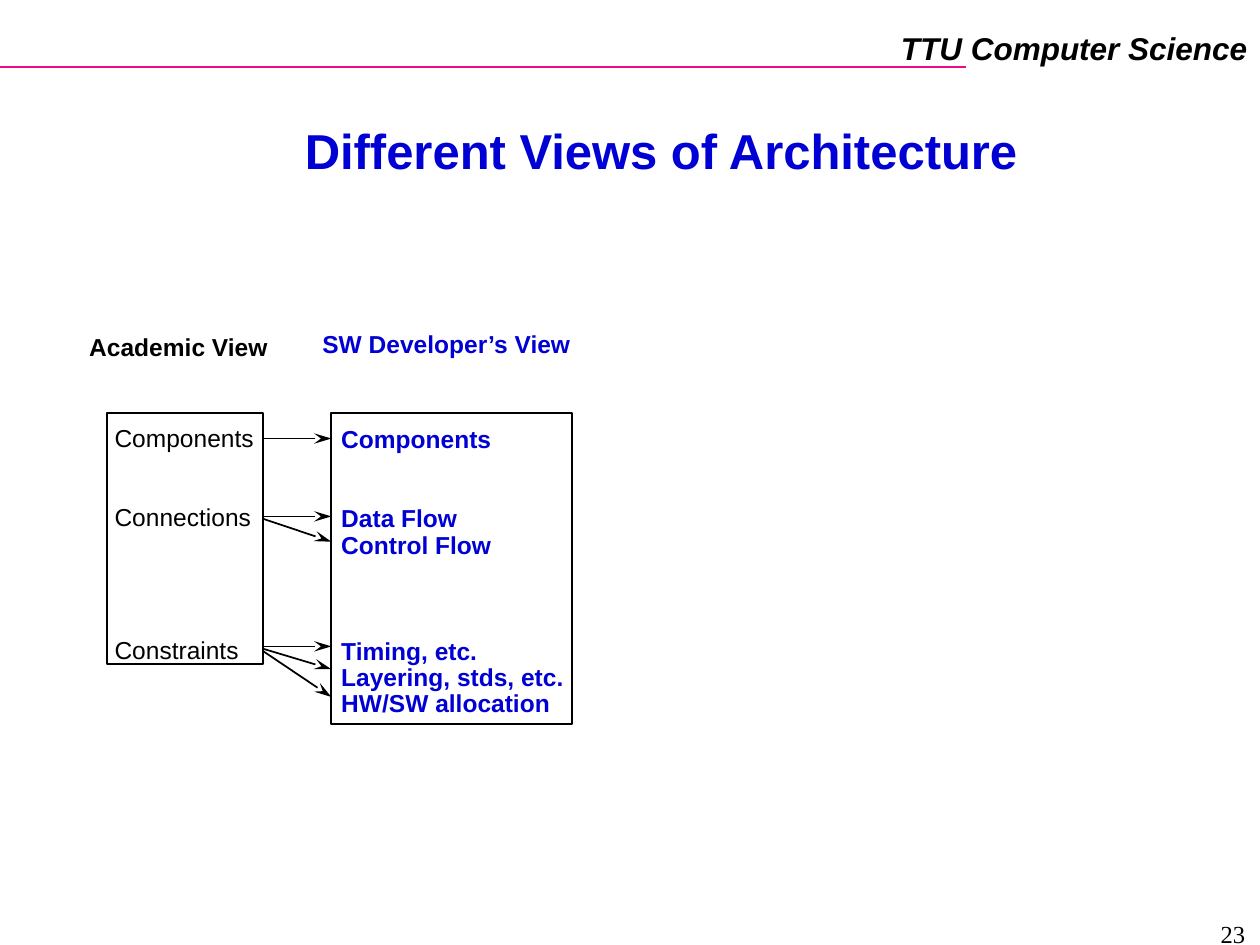
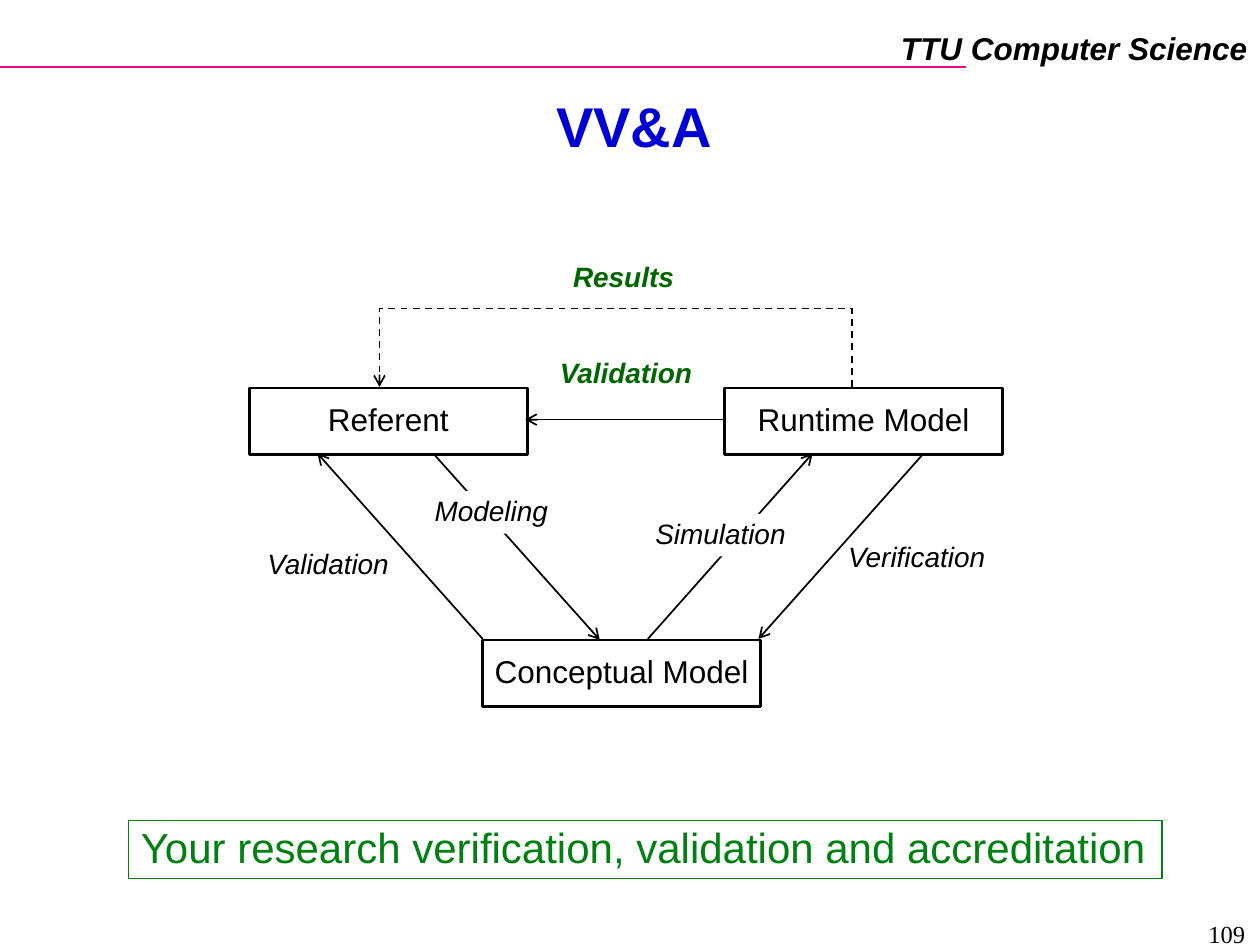
from dataclasses import dataclass

from lxml.etree import SubElement
from pptx import Presentation
from pptx.dml.color import RGBColor
from pptx.enum.dml import MSO_LINE
from pptx.enum.shapes import MSO_CONNECTOR, MSO_SHAPE
from pptx.enum.text import MSO_ANCHOR, PP_ALIGN
from pptx.oxml.ns import qn
from pptx.util import Cm, Pt

BLACK = RGBColor(0x00, 0x00, 0x00)
WHITE = RGBColor(0xFF, 0xFF, 0xFF)
BLUE = RGBColor(0x00, 0x00, 0xD4)
PINK = RGBColor(0xF2, 0x08, 0x84)
DARK_GREEN = RGBColor(0x00, 0x66, 0x00)
GREEN = RGBColor(0x00, 0x80, 0x11)
LIST_PITCH = 15.1
TITLE_ONLY = 5


@dataclass
class Box:
    """A rectangle in centimetres."""
    left: float
    top: float
    width: float = 0
    height: float = 0

    def inner(self, left, top, width=0, height=0):
        """Return a box placed relative to this one."""
        return Box(self.left + left, self.top + top, width, height)

    def lengths(self):
        """Return left, top, width and height as lengths."""
        return [Cm(value) for value in (self.left, self.top, self.width, self.height)]


@dataclass
class Style:
    """The look of a run of text."""
    size: float
    color: RGBColor = BLACK
    bold: bool = False
    italic: bool = False
    name: str = "Arial"


LABEL = Style(16, italic=True)
GREEN_LABEL = Style(16, DARK_GREEN, bold=True, italic=True)


def write(paragraph, text, style, align=PP_ALIGN.LEFT, spacing=0.9):
    """Add one styled run to a paragraph."""
    paragraph.alignment = align
    paragraph.line_spacing = spacing
    run = paragraph.add_run()
    run.text = text
    font = run.font
    font.name, font.size = style.name, Pt(style.size)
    font.bold, font.italic = style.bold, style.italic
    font.color.rgb = style.color


def set_margins(frame, across=0.25, down=0.13):
    """Set the insets of a text frame."""
    frame.margin_left = frame.margin_right = Cm(across)
    frame.margin_top = frame.margin_bottom = Cm(down)


def add_text(slide, box, text, style, align=PP_ALIGN.LEFT, spacing=0.9, wrap=False):
    """Add a text box with one line and return it."""
    shape = slide.shapes.add_textbox(*box.lengths())
    frame = shape.text_frame
    frame.word_wrap = wrap
    set_margins(frame)
    write(frame.paragraphs[0], text, style, align, spacing)
    return shape


def add_list(slide, box, groups, style, wrap):
    """Add groups of lines, each group a number of empty lines below the last."""
    frame = slide.shapes.add_textbox(*box.lengths()).text_frame
    frame.word_wrap = wrap
    set_margins(frame)
    paragraph = frame.paragraphs[0]
    for skipped, lines in groups:
        for index, line in enumerate(lines):
            if paragraph.runs:
                paragraph = frame.add_paragraph()
            if skipped and index == 0:
                paragraph.space_before = Pt(skipped * LIST_PITCH)
            write(paragraph, line, style, spacing=Pt(LIST_PITCH))


def add_frame(slide, box, color=BLACK, weight=1):
    """Add an unfilled rectangle with an outline."""
    shape = slide.shapes.add_shape(MSO_SHAPE.RECTANGLE, *box.lengths())
    shape.shadow.inherit = False
    shape.fill.background()
    shape.line.color.rgb = color
    shape.line.width = Pt(weight)
    return shape


def add_boxed_text(slide, box, text, style, align, color, weight):
    """Add an outlined rectangle with one line of text in its middle."""
    frame = add_frame(slide, box, color, weight).text_frame
    frame.word_wrap = False
    frame.vertical_anchor = MSO_ANCHOR.MIDDLE
    set_margins(frame)
    write(frame.paragraphs[0], text, style, align)


def add_arrowhead(shape, kind):
    """Put an arrowhead at the end of a line, a long one if it is stealth."""
    line = shape.element.spPr.find(qn("a:ln"))
    length = "lg" if kind == "stealth" else "med"
    SubElement(line, qn("a:tailEnd"), type=kind, w="med", len=length)


def add_line(slide, start, end, color=BLACK, head=None):
    """Draw a straight line between two boxes' corners."""
    line = slide.shapes.add_connector(
        MSO_CONNECTOR.STRAIGHT, Cm(start.left), Cm(start.top), Cm(end.left), Cm(end.top))
    line.line.color.rgb = color
    line.line.width = Pt(1)
    if head:
        add_arrowhead(line, head)
    SubElement(line.element.spPr, qn("a:effectLst"))


def add_base(presentation, title, title_box, title_size, number):
    """Add a slide with the shared header, its title and its page number."""
    slide = presentation.slides.add_slide(presentation.slide_layouts[TITLE_ONLY])
    add_line(slide, Box(0, 1.35), Box(19.48, 1.35), PINK)
    add_text(slide, Box(17.91, 0.46, 7.49, 1.02), "TTU Computer Science",
             Style(18, bold=True, italic=True), PP_ALIGN.RIGHT, 1.0)
    shape = slide.shapes.title
    shape.left, shape.top, shape.width, shape.height = title_box.lengths()
    frame = shape.text_frame
    frame.vertical_anchor = MSO_ANCHOR.MIDDLE
    frame.word_wrap = True
    set_margins(frame, 0.18, 0.08)
    write(frame.paragraphs[0], title, Style(title_size, BLUE, bold=True), PP_ALIGN.CENTER, 0.87)
    add_text(slide, Box(19.43, 18.39, 5.92, 0.56), number,
             Style(14, name="Times New Roman"), PP_ALIGN.RIGHT, 1.0, wrap=True)
    return slide


def add_academic_view(slide, box):
    """Add the academic view: heading, frame and terms."""
    add_frame(slide, box)
    add_text(slide, box.inner(-0.61, -1.7, 4.11, 0.79), "Academic View", Style(14, bold=True))
    groups = [(0, ["Components"]), (2, ["Connections"]), (4, ["Constraints"])]
    add_list(slide, box.inner(-0.1, 0.13, 3.33, 5.05), groups, Style(14), wrap=False)


def add_developer_view(slide, box):
    """Add the developer's view: heading, frame and terms."""
    style = Style(14, BLUE, bold=True)
    add_frame(slide, box)
    add_text(slide, box.inner(-0.43, -1.75, 5.51, 0.79), "SW Developer’s View", style)
    groups = [
        (0, ["Components"]),
        (2, ["Data Flow", "Control Flow"]),
        (3, ["Timing, etc.", "Layering, stds, etc.", "HW/SW allocation"]),
    ]
    add_list(slide, box.inner(-0.05, 0.15, 5.31, 6.12), groups, style, wrap=True)


def add_view_arrows(slide, academic, developer):
    """Join each academic term to its developer's terms."""
    heights = [(0.51, 0.51), (2.08, 2.08), (2.13, 2.59), (4.7, 4.7), (4.75, 5.16), (4.8, 5.72)]
    for start, end in heights:
        add_line(slide, academic.inner(academic.width, start), developer.inner(0, end),
                 head="stealth")


def add_models(slide, box):
    """Add the three boxed models."""
    models = [("Referent", 0, 2.64), ("Runtime Model", 9.58, 2.64), ("Conceptual Model", 4.7, 7.72)]
    for text, left, top in models:
        add_boxed_text(slide, box.inner(left, top, 5.6, 1.35), text, Style(18),
                       PP_ALIGN.CENTER, BLACK, 1.5)


def add_model_arrows(slide, box):
    """Add the arrows between the models, with the dashed path of results."""
    arrows = [
        ((4.7, 7.7), (1.37, 3.96)),
        ((3.73, 3.99), (7.06, 7.72)),
        ((13.59, 3.96), (10.26, 7.7)),
        ((8.03, 7.7), (11.35, 3.96)),
        ((9.55, 3.28), (5.56, 3.28)),
    ]
    for start, end in arrows:
        add_line(slide, box.inner(*start), box.inner(*end), head="arrow")
    corners = [box.inner(*point) for point in
               ((12.14, 2.62), (12.14, 1.04), (2.62, 1.04), (2.62, 2.62))]
    points = [(Cm(corner.left), Cm(corner.top)) for corner in corners]
    builder = slide.shapes.build_freeform(*points[0])
    builder.add_line_segments(points[1:], close=False)
    results = builder.convert_to_shape()
    results.shadow.inherit = False
    results.fill.background()
    results.line.color.rgb = BLACK
    results.line.width = Pt(1)
    results.line.dash_style = MSO_LINE.DASH
    add_arrowhead(results, "arrow")


def add_model_labels(slide, box):
    """Name the arrows; a filled label interrupts its arrow."""
    labels = [
        ("Validation", 0.1, 5.79, 2.97, LABEL, False),
        ("Verification", 11.81, 5.64, 3.28, LABEL, False),
        ("Validation", 5.99, 1.93, 3.2, GREEN_LABEL, False),
        ("Modeling", 3.48, 4.72, 2.79, LABEL, True),
        ("Simulation", 7.92, 5.18, 3.15, LABEL, True),
        ("Results", 6.27, 0, 2.54, GREEN_LABEL, False),
    ]
    for text, left, top, width, style, filled in labels:
        shape = add_text(slide, box.inner(left, top, width, 0.86), text, style, PP_ALIGN.CENTER)
        set_margins(shape.text_frame, across=0.1)
        if filled:
            shape.fill.solid()
            shape.fill.fore_color.rgb = WHITE


def build_views_slide(presentation):
    """Build the slide that compares two views of architecture."""
    slide = add_base(presentation, "Different Views of Architecture",
                     Box(5.92, 2.53, 14.81, 1.17), 28, "23")
    academic = Box(2.16, 8.33, 3.15, 5.05)
    developer = Box(6.68, 8.33, 4.85, 6.27)
    add_academic_view(slide, academic)
    add_developer_view(slide, developer)
    add_view_arrows(slide, academic, developer)


def build_validation_slide(presentation):
    """Build the slide on verification, validation and accreditation."""
    slide = add_base(presentation, "VV&A", Box(1.35, 1.92, 22.86, 1.4), 32, "109")
    diagram = Box(5.03, 5.18)
    add_models(slide, diagram)
    add_model_arrows(slide, diagram)
    add_model_labels(slide, diagram)
    add_boxed_text(slide, Box(2.59, 16.54, 20.83, 1.17),
                   "Your research verification, validation and accreditation",
                   Style(24, GREEN), PP_ALIGN.LEFT, GREEN, 1)


def main():
    """Build and save the presentation."""
    presentation = Presentation()
    presentation.slide_width, presentation.slide_height = Cm(25.4), Cm(19.05)
    build_views_slide(presentation)
    build_validation_slide(presentation)
    presentation.save("out.pptx")


if __name__ == "__main__":
    main()
